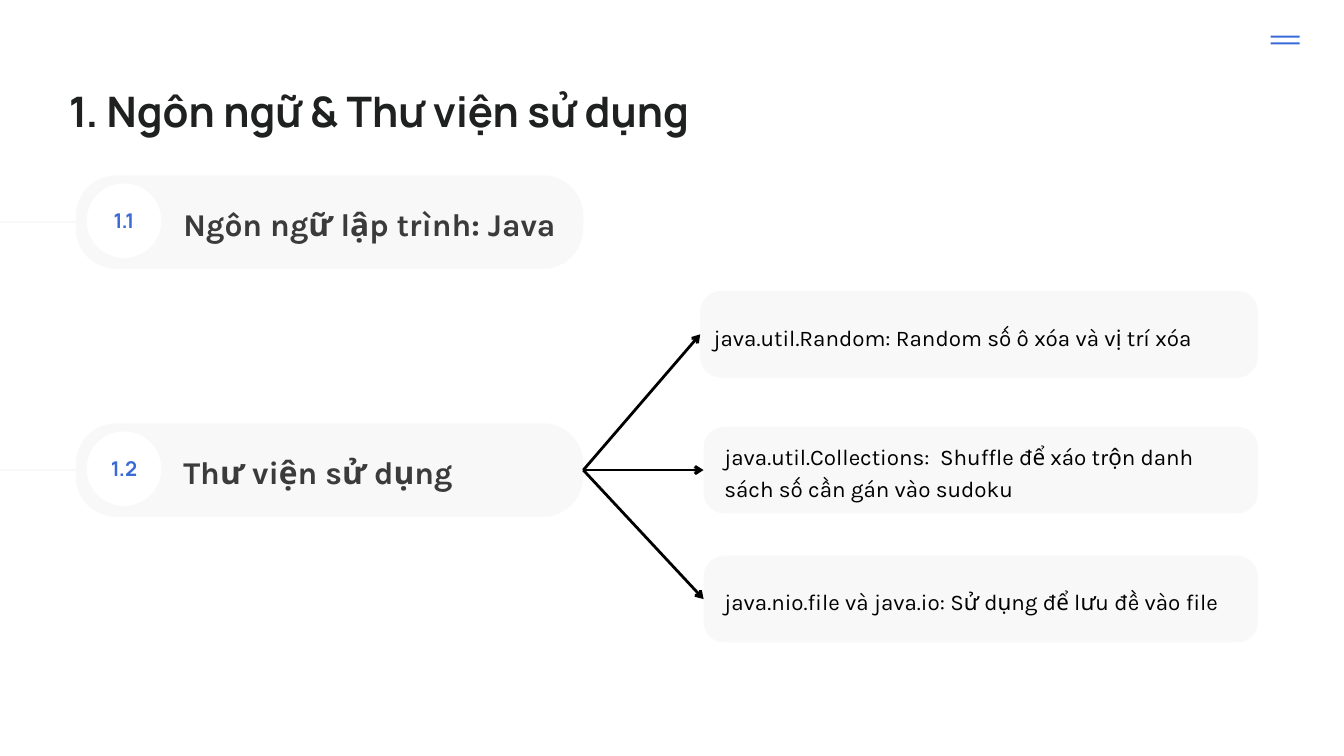
import pptx
import pptx.util
import pptx.dml.color
import pptx.enum.shapes
import pptx.enum.text
import lxml.etree

HUES = {"blue": "3A6AD6", "pale": "F8F8F8", "white": "FFFFFF",
        "black": "000000", "gray": "3B3B3B", "dark": "1F2020"}
KIND = pptx.enum.shapes.MSO_SHAPE
LINE = pptx.enum.shapes.MSO_CONNECTOR.STRAIGHT
SIDE = pptx.enum.text.PP_ALIGN
Pt = pptx.util.Pt

deck = pptx.Presentation()
deck.slide_width = pptx.util.Inches(20)
deck.slide_height = pptx.util.Inches(11.25)
slide = deck.slides.add_slide(deck.slide_layouts[6])
COL = deck.slide_width / 20
ROW = deck.slide_height / 11.25


def tint(name):
    return pptx.dml.color.RGBColor.from_string(HUES[name])


def write(text, left, top, wide, high, size, lead, font="Karla",
          hue="black", bold=False, side=SIDE.LEFT):
    box = slide.shapes.add_textbox(int(left * COL), int(top * ROW),
                                   int(wide * COL), int(high * ROW))
    frame = box.text_frame
    frame.word_wrap = True
    frame.margin_left = frame.margin_right = 0
    frame.margin_top = frame.margin_bottom = 0
    para = frame.paragraphs[0]
    para.alignment = side
    para.line_spacing = Pt(lead)
    run = para.add_run()
    run.text = text
    run.font.name = font
    run.font.size = Pt(size)
    run.font.bold = bold
    run.font.color.rgb = tint(hue)


def block(kind, left, top, wide, high, hue, bend=None):
    shape = slide.shapes.add_shape(kind, int(left * COL), int(top * ROW),
                                   int(wide * COL), int(high * ROW))
    shape.shadow.inherit = False
    shape.fill.solid()
    shape.fill.fore_color.rgb = tint(hue)
    shape.line.fill.background()
    if bend is not None:
        shape.adjustments[0] = bend
    return shape


for top in (0.53, 0.63):
    block(KIND.RECTANGLE, 18.91, top, 0.43, 0.03, "blue")

write("1. Ngôn ngữ & Thư viện sử dụng", 0, 1.15, 11.28, 0.89, 45, 63,
      font="Manrope", hue="dark", bold=True, side=SIDE.CENTER)

lines = []
for num, head, top in (("1.1", "Ngôn ngữ lập trình: Java", 2.61),
                       ("1.2", "Thư viện sử dụng", 6.3)):
    mid = int((top + 0.69) * ROW)
    rail = slide.shapes.add_connector(LINE, int(-0.38 * COL), mid,
                                      int(2.63 * COL), mid)
    lines.append((rail, "pale", 2.25))
    pill = block(KIND.ROUNDED_RECTANGLE, 1.13, top, 7.55, 1.39, "pale", 0.43)
    block(KIND.OVAL, 1.29, top + 0.12, 1.11, 1.11, "white")
    write(num, 1.44, top + 0.42, 0.81, 0.44, 21.8, 30.6,
          font="Manrope", hue="blue", bold=True, side=SIDE.CENTER)
    write(head, 2.73, top + 0.34, 5.74, 0.63, 34, 47.6, hue="gray", bold=True)

cards = (
    ("java.util.Random: Random số ô xóa và vị trí xóa",
     10.42, 4.33, 10.62, 0.42, 0.43),
    ("java.util.Collections:  Shuffle để xáo trộn danh sách số cần gán vào sudoku",
     10.47, 6.35, 10.78, 0.18, 0.89),
    ("java.nio.file và java.io: Sử dụng để lưu đề vào file",
     10.47, 8.27, 10.78, 0.41, 0.43),
)
for text, left, top, inset, drop, high in cards:
    card = block(KIND.ROUNDED_RECTANGLE, left, top, 18.72 - left, 1.29,
                 "pale", 0.24)
    write(text, inset, top + drop, 7.73, high, 24, 33.6)
    arrow = slide.shapes.add_connector(LINE, 0, 0, 0, 0)
    arrow.begin_connect(pill, 3)
    arrow.end_connect(card, 1)
    lines.append((arrow, "black", 3))

for line, hue, thick in lines:
    line.line.color.rgb = tint(hue)
    line.line.width = Pt(thick)
    props = line.element.spPr
    space = "{" + props.nsmap["a"] + "}"
    if hue == "black":
        lxml.etree.SubElement(props.find(space + "ln"), space + "tailEnd",
                              type="arrow")
    lxml.etree.SubElement(props, space + "effectLst")

deck.save("out.pptx")
